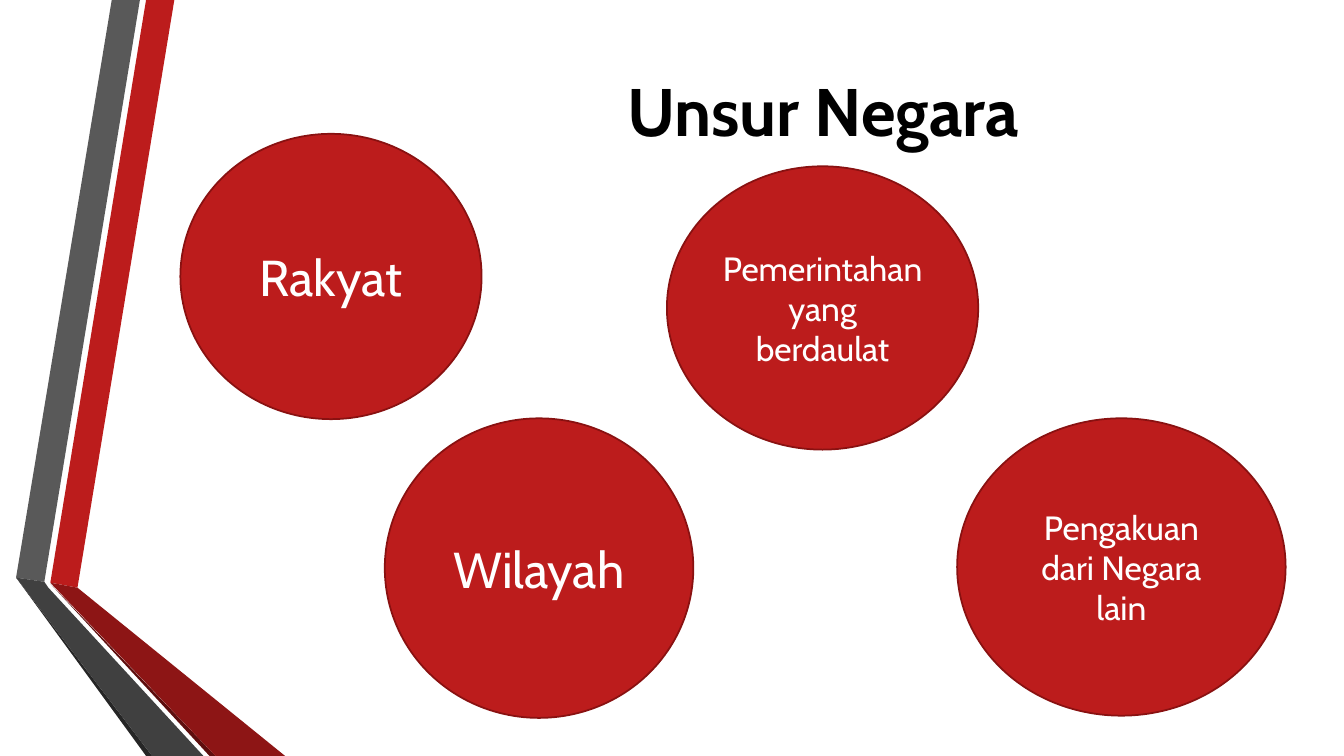
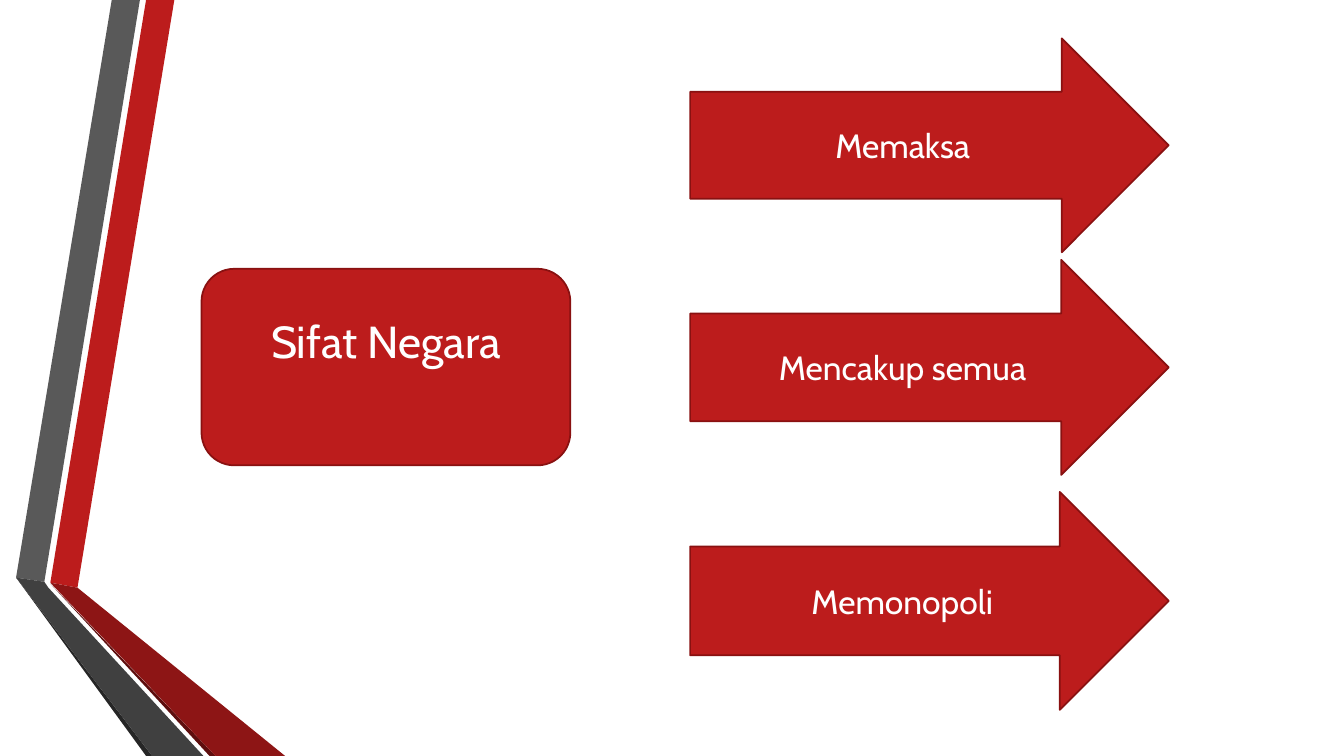
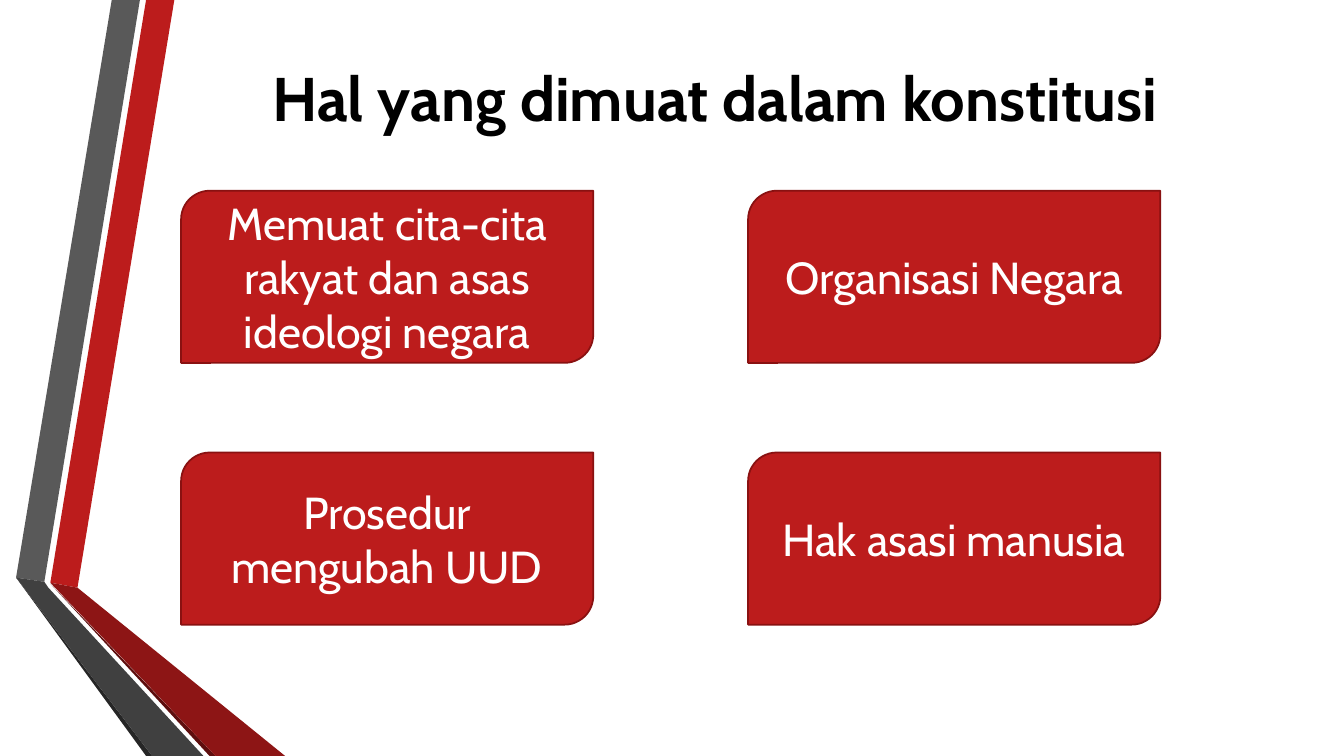
from pptx import Presentation
from pptx.dml.color import RGBColor
from pptx.enum.shapes import MSO_SHAPE as SHAPE
from pptx.enum.text import MSO_ANCHOR as ANCHOR, MSO_AUTO_SIZE as AUTO, PP_ALIGN as ALIGN
from pptx.util import Pt

RED = RGBColor(0xBC, 0x1C, 0x1C)
RED_LINE = RGBColor(0x89, 0x11, 0x11)
RED_DARK = RGBColor(0x8D, 0x15, 0x15)
RED_DEEP = RGBColor(0x5E, 0x0E, 0x0E)
GREY = RGBColor(0x59, 0x59, 0x59)
GREY_DARK = RGBColor(0x40, 0x40, 0x40)
GREY_DEEP = RGBColor(0x26, 0x26, 0x26)
BLACK = RGBColor(0, 0, 0)
WHITE = RGBColor(0xFF, 0xFF, 0xFF)

FONT = "Cabin"
WIDTH, HEIGHT = 960.5, 540
TITLE_ONLY, BLANK = 5, 6

# Folded ribbons at the left edge, from back to front
RIBBONS = [
    (RED, [(36, 416.2), (55.4, 419.8), (124.6, 0), (104.4, 0)]),
    (GREY, [(100, 0), (79.9, 0), (11.5, 412.6), (31.7, 415.6)]),
    (GREY_DEEP, [(11.5, 412.6), (104.4, HEIGHT), (108.7, HEIGHT)]),
    (RED_DEEP, [(36, 416.9), (149.8, HEIGHT), (154.1, HEIGHT)]),
    (RED_DARK, [(36, 416.2), (154.1, HEIGHT), (203.8, HEIGHT), (55.4, 419.8)]),
    (GREY_DARK, [(145.4, HEIGHT), (34.6, 419.8), (31.7, 415.6), (11.5, 412.6),
                 (108.7, HEIGHT)]),
]


def write(tf, text, size, color=WHITE, bold=False, bottom=3.6):
    """Fill a text frame with one centred line of thought; bottom is its inset."""
    tf.word_wrap = True
    tf.auto_size = AUTO.NONE
    tf.vertical_anchor = ANCHOR.MIDDLE
    tf.margin_bottom = Pt(bottom)
    p = tf.paragraphs[0]
    p.alignment = ALIGN.CENTER
    r = p.add_run()
    r.text = text
    r.font.name = FONT
    r.font.size = Pt(size)
    r.font.bold = bold
    r.font.color.rgb = color


class Deck:
    """The presentation, its style and the slide being filled."""

    def __init__(self):
        self.prs = Presentation()
        self.prs.slide_width, self.prs.slide_height = Pt(WIDTH), Pt(HEIGHT)
        self.slide = None

    def new_slide(self, layout):
        first = self.slide is None
        self.slide = self.prs.slides.add_slide(self.prs.slide_layouts[layout])
        if first:
            self.ribbons()

    def ribbons(self):
        """Draw the ribbons as a group and hand it to the slide master."""
        group = self.slide.shapes.add_group_shape()
        for color, points in RIBBONS:
            start, *rest = [(Pt(x), Pt(y)) for x, y in points]
            builder = group.shapes.build_freeform(*start)
            builder.add_line_segments(rest, close=True)
            sp = builder.convert_to_shape()
            sp.shadow.inherit = False
            sp.fill.solid()
            sp.fill.fore_color.rgb = color
            sp.line.fill.background()
        for number, props in enumerate(group.element.xpath(".//p:cNvPr"), 101):
            props.set("id", str(number))
        self.prs.slide_master.shapes.element.insert(2, group.element)

    def title(self, text, left, top, size):
        sp = self.slide.shapes.title
        sp.left, sp.top, sp.width, sp.height = Pt(left), Pt(top), Pt(789), Pt(138.2)
        write(sp.text_frame, text, size, color=BLACK, bold=True)

    def block(self, kind, text, box, size, **fmt):
        """Add a red preset shape; box is left, top, width, height."""
        sp = self.slide.shapes.add_shape(kind, *[Pt(v) for v in box])
        sp.shadow.inherit = False
        sp.fill.solid()
        sp.fill.fore_color.rgb = RED
        sp.line.color.rgb = RED_LINE
        sp.line.width = Pt(1.25)
        write(sp.text_frame, text, size, **fmt)


def elements_slide(deck):
    deck.new_slide(TITLE_ONLY)
    deck.title("Unsur Negara", 193.7, 9.4, 48)
    for text, box, size in [
        ("Rakyat", (128.9, 95.6, 215.3, 203.8), 36),
        ("Wilayah", (275, 298.8, 220.5, 214), 36),
        ("Pengakuan dari Negara lain", (684, 298.8, 234.8, 212.4), 24),
        ("Pemerintahan yang berdaulat", (476.6, 118.8, 222.5, 202.4), 24),
    ]:
        deck.block(SHAPE.OVAL, text, box, size)


def traits_slide(deck):
    deck.new_slide(BLANK)
    deck.block(SHAPE.FLOWCHART_ALTERNATE_PROCESS, "Sifat Negara",
               (144, 192, 263.6, 140.4), 32, bottom=42)
    for text, top, height in [
        ("Memaksa", 27.4, 152.8),
        ("Mencakup semua", 185.6, 153.6),
        ("Memonopoli", 351.4, 155.6),
    ]:
        deck.block(SHAPE.RIGHT_ARROW, text, (493.2, top, 342, height), 24)


def constitution_slide(deck):
    deck.new_slide(TITLE_ONLY)
    deck.title("Hal yang dimuat dalam konstitusi", 116.6, 0, 44)
    topics = ["Memuat cita-cita rakyat dan asas ideologi negara", "Organisasi Negara",
              "Prosedur mengubah UUD", "Hak asasi manusia"]
    for i, text in enumerate(topics):
        row, col = divmod(i, 2)
        box = (129.4 + 405.2 * col, 136.2 + 187 * row, 294.6, 123)
        deck.block(SHAPE.ROUND_2_DIAG_RECTANGLE, text, box, 32)


def main():
    deck = Deck()
    elements_slide(deck)
    traits_slide(deck)
    constitution_slide(deck)
    deck.prs.save("out.pptx")


if __name__ == "__main__":
    main()
